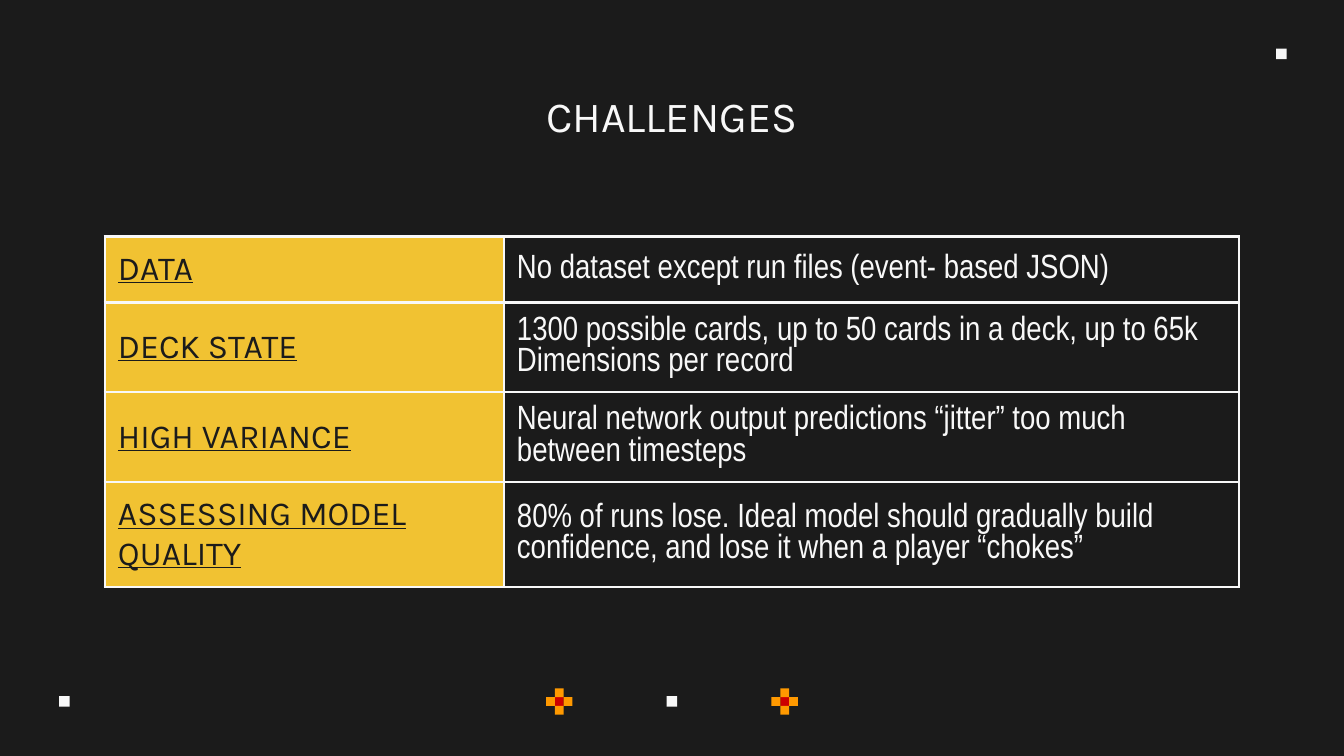
from lxml.etree import SubElement
from pptx import Presentation
from pptx.dml.color import RGBColor
from pptx.enum.shapes import MSO_SHAPE as Shape
from pptx.enum.text import MSO_ANCHOR as Anchor, MSO_AUTO_SIZE as AutoSize, PP_ALIGN as Align
from pptx.oxml.ns import qn
from pptx.util import Cm, Pt

DARK, LIGHT, YELLOW = "1B1B1B", "F8F8F8", "F1C232"
ORANGE, RED = "FF9900", "CC0000"
INSET = Cm(0.25)

CHALLENGES = [
    ("DATA", "No dataset except run files (event- based JSON)"),
    ("DECK STATE", "1300 possible cards, up to 50 cards in a deck, up to 65k Dimensions per record"),
    ("HIGH VARIANCE", "Neural network output predictions “jitter” too much between timesteps"),
    ("ASSESSING MODEL QUALITY", "80% of runs lose. Ideal model should gradually build confidence, "
                                "and lose it when a player “chokes”"),
]


def paint(fill, color):
    fill.solid()
    fill.fore_color.rgb = RGBColor.from_string(color)


def style_text(para, font, size, color, underline=False):
    for span in para.runs:
        span.font.name = font
        span.font.size = Pt(size)
        span.font.underline = underline
        span.font.color.rgb = RGBColor.from_string(color)


def set_insets(box):
    box.margin_left = box.margin_right = box.margin_top = box.margin_bottom = INSET


def add_square(page, left, top, side, color):
    square = page.shapes.add_shape(Shape.RECTANGLE, Cm(left), Cm(top), Cm(side), Cm(side))
    square.shadow.inherit = False
    paint(square.fill, color)
    square.line.fill.background()


def add_flower(page, left, top, side):
    pixel = side / 3
    add_square(page, left + pixel, top + pixel, pixel, RED)
    for column, row in [(1, 0), (0, 1), (2, 1), (1, 2)]:
        add_square(page, left + column * pixel, top + row * pixel, pixel, ORANGE)


def add_decorations(page):
    for left, top in [(12.6, 13.16), (24.12, 0.92), (1.12, 13.16)]:
        add_square(page, left, top, 0.2, LIGHT)
    for left in (10.32, 14.58):
        add_flower(page, left, 13.01, 0.5)


def place_title(page, text, left, top, width, height):
    title = page.shapes.title
    title.left, title.top, title.width, title.height = Cm(left), Cm(top), Cm(width), Cm(height)
    frame = title.text_frame
    frame.text = text
    frame.auto_size = AutoSize.NONE
    frame.vertical_anchor = Anchor.TOP
    set_insets(frame)
    frame.paragraphs[0].alignment = Align.CENTER
    style_text(frame.paragraphs[0], "Karla", 23, LIGHT)


def add_borders(cell, color, width):
    properties = cell._tc.get_or_add_tcPr()
    for index, side in enumerate(("lnL", "lnR", "lnT", "lnB")):
        line = SubElement(properties, qn(f"a:{side}"), w=str(Pt(width)))
        SubElement(SubElement(line, qn("a:solidFill")), qn("a:srgbClr"), val=color)
        properties.insert(index, line)


def fill_cell(cell, text, font, color, underline=False):
    cell.text = text
    cell.vertical_anchor = Anchor.MIDDLE
    set_insets(cell)
    style_text(cell.text_frame.paragraphs[0], font, 18, color, underline)
    add_borders(cell, LIGHT, 1.5)


def add_challenges(page, left, top, width, height):
    frame = page.shapes.add_table(len(CHALLENGES), 2, Cm(left), Cm(top), Cm(width), Cm(height))
    table = frame.table
    table.first_row = table.horz_banding = False
    label_width = 7.54
    table.columns[0].width = Cm(label_width)
    table.columns[1].width = Cm(width - label_width)
    for index, (label, detail) in enumerate(CHALLENGES):
        table.rows[index].height = Cm(1.07)
        label_cell, detail_cell = table.rows[index].cells
        paint(label_cell.fill, YELLOW)
        detail_cell.fill.background()
        fill_cell(label_cell, label, "Karla", DARK, underline=True)
        fill_cell(detail_cell, detail, "Arial Narrow", LIGHT)
        if index < len(CHALLENGES) - 1:
            detail_cell.text_frame.paragraphs[0].space_after = Pt(16)
    frame.height = Cm(height)


def main():
    deck = Presentation()
    deck.slide_width, deck.slide_height = Cm(25.4), Cm(14.29)
    page = deck.slides.add_slide(deck.slide_layouts.get_by_name("Title Only"))
    paint(page.background.fill, DARK)
    add_decorations(page)
    place_title(page, "CHALLENGES", 1.98, 1.45, 21.44, 1.3)
    add_challenges(page, 1.98, 4.47, 21.44, 7.37)
    deck.save("out.pptx")


if __name__ == "__main__":
    main()
